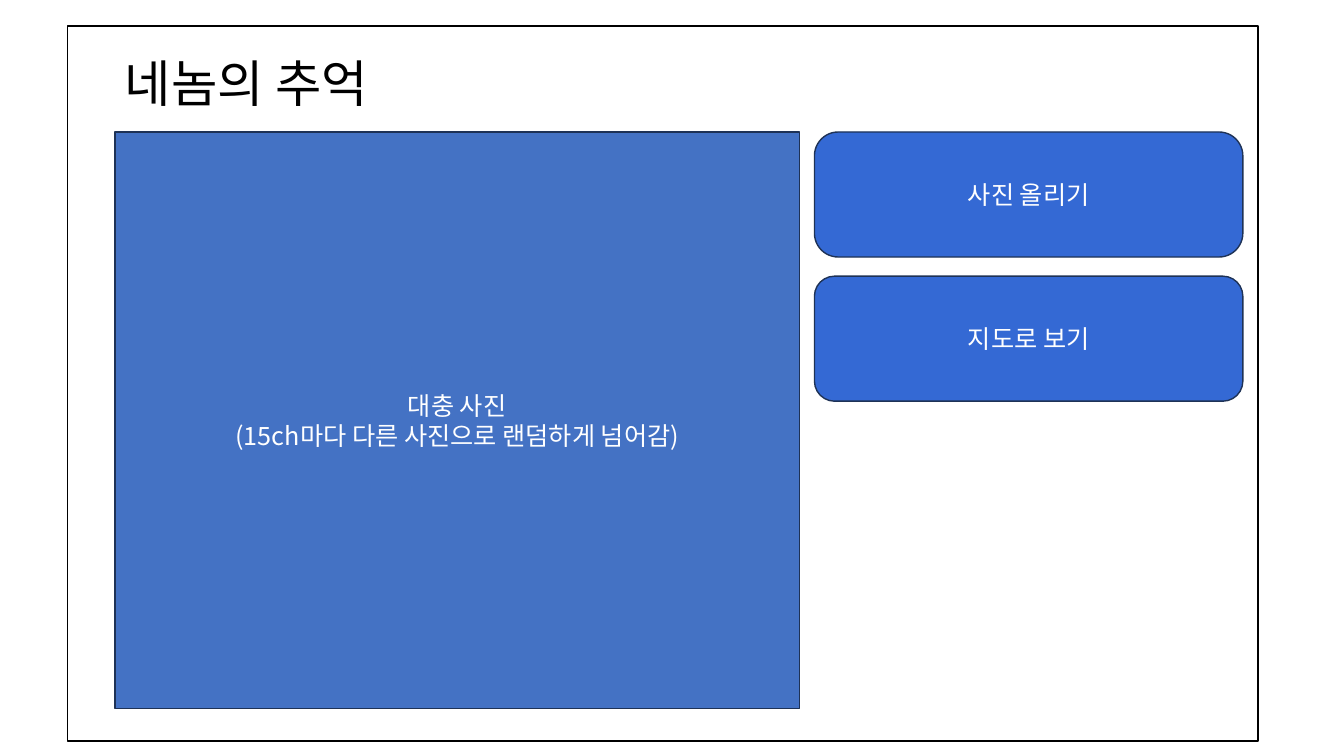
"""Build the photo memories screen mock-up as one slide."""
from dataclasses import dataclass

from pptx import Presentation
from pptx.dml.color import RGBColor
from pptx.enum.shapes import MSO_SHAPE
from pptx.enum.text import MSO_ANCHOR, MSO_AUTO_SIZE, PP_ALIGN
from pptx.oxml.ns import qn
from pptx.util import Pt


@dataclass(frozen=True)
class Theme:
    """Colours, font and type sizes."""
    white: str = "FFFFFF"
    black: str = "000000"
    photo: str = "4472C4"
    button: str = "3469D4"
    edge: str = "1E3256"
    font: str = "Noto Sans CJK KR"
    head: int = 36
    body: int = 18


theme = Theme()


def add_box(kind, place, fill, edge):
    """Add a filled and outlined shape without a shadow."""
    box = slide.shapes.add_shape(kind, *map(Pt, place))
    box.shadow.inherit = False
    box.fill.solid()
    box.fill.fore_color.rgb = RGBColor.from_string(fill)
    box.line.color.rgb = RGBColor.from_string(edge)
    box.line.width = Pt(1)
    return box


def write(frame, lines, size, color, align, form):
    """Format a text frame and fill it with one paragraph per line."""
    for name, value in form.items():
        setattr(frame, name, value)
    frame.text = "\n".join(lines)
    style = {"name": theme.font, "size": Pt(size)}
    for para in frame.paragraphs:
        para.alignment = align
        for run in para.runs:
            for name, value in style.items():
                setattr(run.font, name, value)
            run.font.color.rgb = RGBColor.from_string(color)
            props = run._r.get_or_add_rPr()
            east = props.makeelement(qn("a:ea"), {"typeface": theme.font})
            props.find(qn("a:latin")).addnext(east)


deck = Presentation()
deck.slide_width, deck.slide_height = Pt(960), Pt(540)
slide = deck.slides.add_slide(deck.slide_layouts[6])

left, top = 82.08, 94.32
middle = {"word_wrap": True, "vertical_anchor": MSO_ANCHOR.MIDDLE}
grow = {"word_wrap": True, "auto_size": MSO_AUTO_SIZE.SHAPE_TO_FIT_TEXT}

add_box(MSO_SHAPE.RECTANGLE, (48.24, 18.72, 850.32, 510.48), theme.white, theme.black)

photo = add_box(MSO_SHAPE.RECTANGLE, (left, top, 488.88, 411.84), theme.photo, theme.edge)
note = ["대충 사진", "(15ch마다 다른 사진으로 랜덤하게 넘어감)"]
write(photo.text_frame, note, theme.body, theme.white, PP_ALIGN.CENTER, middle)

title = slide.shapes.add_textbox(Pt(left), Pt(33.84), Pt(475.2), Pt(51.12))
write(title.text_frame, ["네놈의 추억"], theme.head, theme.black, PP_ALIGN.LEFT, grow)

for row, (label, curve) in enumerate([("사진 올리기", 0.19), ("지도로 보기", 0.16)]):
    place = (581.76, top + row * 102.96, 306, 89.28)
    button = add_box(MSO_SHAPE.ROUNDED_RECTANGLE, place, theme.button, theme.edge)
    button.adjustments[0] = curve
    write(button.text_frame, [label], theme.body, theme.white, PP_ALIGN.CENTER, middle)

deck.save("out.pptx")
